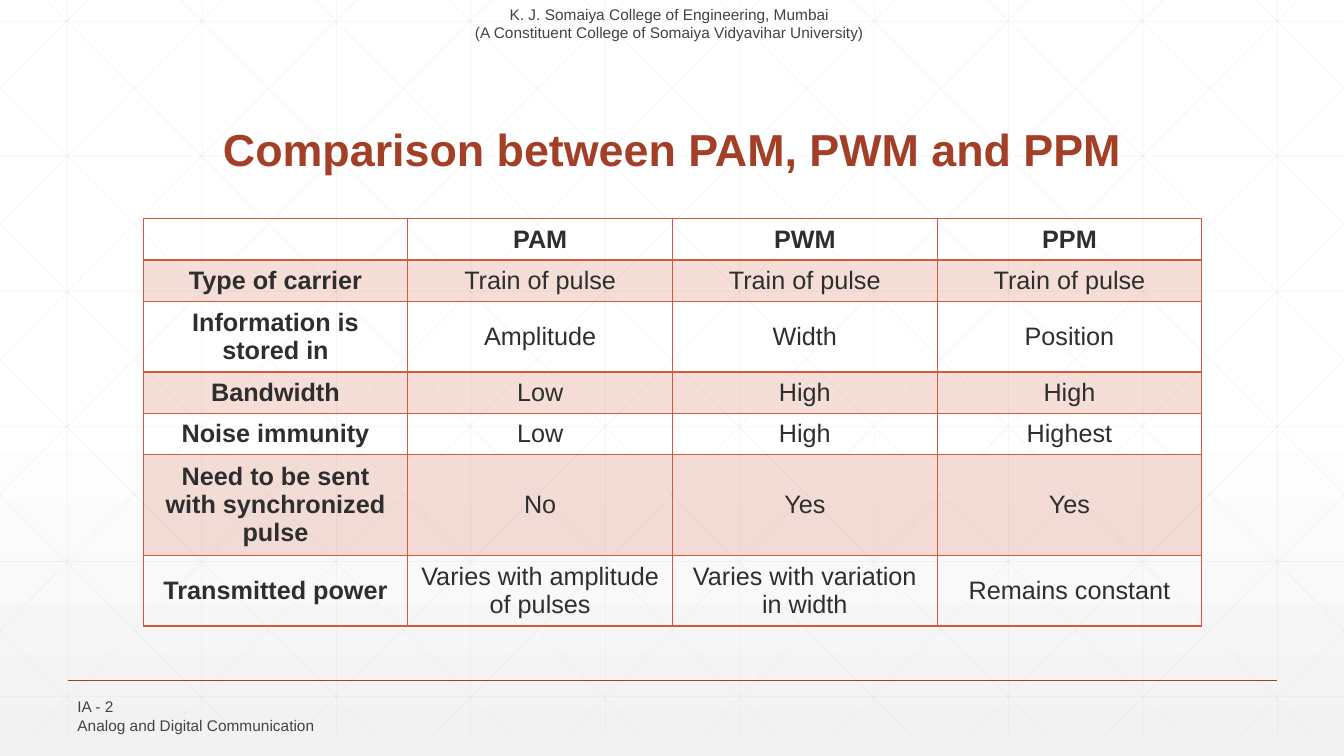
from pptx import Presentation
from pptx.dml.color import RGBColor
from pptx.enum.shapes import MSO_CONNECTOR
from pptx.enum.text import MSO_ANCHOR, PP_ALIGN
from pptx.oxml import parse_xml
from pptx.oxml.ns import nsdecls, qn
from pptx.util import Inches, Pt

STRAIGHT = MSO_CONNECTOR.STRAIGHT
MIDDLE, BOTTOM = MSO_ANCHOR.MIDDLE, MSO_ANCHOR.BOTTOM
LEFT, CENTER = PP_ALIGN.LEFT, PP_ALIGN.CENTER

WIDTH, HEIGHT = 13.33, 7.5
GRID_TOP, GRID_BOTTOM = -0.21, 7.29
GRID_STEP = 4 / 3
DIAGONAL_RUN = 7.45

ROWS = [
    ["", "PAM", "PWM", "PPM"],
    ["Type of carrier", "Train of pulse", "Train of pulse", "Train of pulse"],
    ["Information is stored in", "Amplitude", "Width", "Position"],
    ["Bandwidth", "Low", "High", "High"],
    ["Noise immunity", "Low", "High", "Highest"],
    ["Need to be sent with synchronized pulse", "No", "Yes", "Yes"],
    ["Transmitted power", "Varies with amplitude of pulses",
     "Varies with variation in width", "Remains constant"],
]


def rgb(value):
    return RGBColor.from_string(value)


def set_alpha(fill_parent, percent):
    color = fill_parent.find(qn("a:solidFill"))[0]
    color.append(parse_xml(f'<a:alpha {nsdecls("a")} val="{percent * 1000}"/>'))


class SlideBuilder:
    font = "Arial"
    accent = "D15A3E"
    heading = "A43F27"
    body = "2D2E2D"
    muted = "424342"
    grid = "D9D9D9"

    def __init__(self, slide):
        self.slide = slide

    def background(self):
        fill = self.slide.background.fill
        fill.gradient()
        fill.gradient_angle = 270
        for stop, position, color in zip(fill.gradient_stops, (0.53, 1), ("FFFFFF", "F2F2F2")):
            stop.position = position
            stop.color.rgb = rgb(color)

    def line(self, x1, y1, x2, y2, color, width, alpha=100):
        cx = self.slide.shapes.add_connector(
            STRAIGHT, Inches(x1), Inches(y1), Inches(x2), Inches(y2))
        cx.line.color.rgb = rgb(color)
        cx.line.width = Pt(width)
        sp_pr = cx._element.spPr
        if alpha < 100:
            set_alpha(sp_pr.find(qn("a:ln")), alpha)
        sp_pr.append(parse_xml(f'<a:effectLst {nsdecls("a")}/>'))

    def grid_line(self, x1, y1, x2, y2):
        self.line(x1, y1, x2, y2, self.grid, 0.5, 25)

    def lattice(self):
        for i in range(10):
            x = 0.67 + i * GRID_STEP
            self.grid_line(x, GRID_TOP, x, GRID_BOTTOM)
        for i in range(6):
            y = 0.21 + i * 1.34
            self.grid_line(0, y, WIDTH, y)
        slope = (GRID_BOTTOM - GRID_TOP) / DIAGONAL_RUN
        for i in range(-5, 10):
            start = 0.25 + i * GRID_STEP
            x1, x2 = max(start, 0), min(start + DIAGONAL_RUN, WIDTH)
            y1, y2 = (GRID_TOP + (x - start) * slope for x in (x1, x2))
            self.grid_line(x1, y1, x2, y2)
            self.grid_line(WIDTH - x1, y1, WIDTH - x2, y2)

    def fill_text(self, tf, lines, size, color, align, bold=False, spacing=None):
        tf.text = "\n".join(lines)
        for p in tf.paragraphs:
            p.alignment = align
            p.line_spacing = spacing
            for r in p.runs:
                r.font.name = self.font
                r.font.size = Pt(size)
                r.font.bold = bold
                r.font.color.rgb = rgb(color)

    def text(self, x, y, w, h, lines, size, color, align, anchor=MIDDLE, **style):
        sp = self.slide.shapes.add_textbox(Inches(x), Inches(y), Inches(w), Inches(h))
        tf = sp.text_frame
        tf.word_wrap = True
        tf.vertical_anchor = anchor
        self.fill_text(tf, lines, size, color, align, **style)

    def borders(self, cell, bottom):
        tc_pr = cell._tc.get_or_add_tcPr()
        for side, width in (("L", 1), ("R", 1), ("T", 1), ("B", bottom)):
            tc_pr.append(parse_xml(
                f'<a:ln{side} {nsdecls("a")} w="{Pt(width)}"><a:solidFill>'
                f'<a:srgbClr val="{self.accent}"/></a:solidFill></a:ln{side}>'))

    def table(self, x, y, w, row_height, rows):
        frame = self.slide.shapes.add_table(
            len(rows), len(rows[0]), Inches(x), Inches(y),
            Inches(w), Inches(row_height * len(rows)))
        table = frame.table
        table.first_row = table.horz_banding = False
        for i, row in enumerate(rows):
            for j, value in enumerate(row):
                cell = table.cell(i, j)
                cell.vertical_anchor = MIDDLE
                self.fill_text(cell.text_frame, [value], 18, self.body, CENTER,
                               i == 0 or j == 0)
                self.borders(cell, 2 if i == 0 else 1)
                if i % 2:
                    cell.fill.solid()
                    cell.fill.fore_color.rgb = rgb(self.accent)
                    set_alpha(cell._tc.tcPr, 20)
                else:
                    cell.fill.background()


def main():
    prs = Presentation()
    prs.slide_width, prs.slide_height = Inches(WIDTH), Inches(HEIGHT)
    s = SlideBuilder(prs.slides.add_slide(prs.slide_layouts[6]))
    s.background()
    s.lattice()
    s.line(0.67, 6.75, 12.67, 6.75, s.heading, 1)
    s.text(4.59, 0, 4.1, 0.46,
           ["K. J. Somaiya College of Engineering, Mumbai",
            "(A Constituent College of Somaiya Vidyavihar University)"],
           11, s.muted, CENTER)
    s.text(1.42, 0.55, 10.5, 1.25, ["Comparison between PAM, PWM and PPM"],
           32, s.heading, CENTER, BOTTOM, bold=True, spacing=0.9)
    s.table(1.42, 2.17, 10.5, 0.41, ROWS)
    s.text(0.67, 6.88, 6.7, 0.44, ["IA - 2", "Analog and Digital Communication"],
           11, s.muted, LEFT)
    prs.save("out.pptx")


if __name__ == "__main__":
    main()
